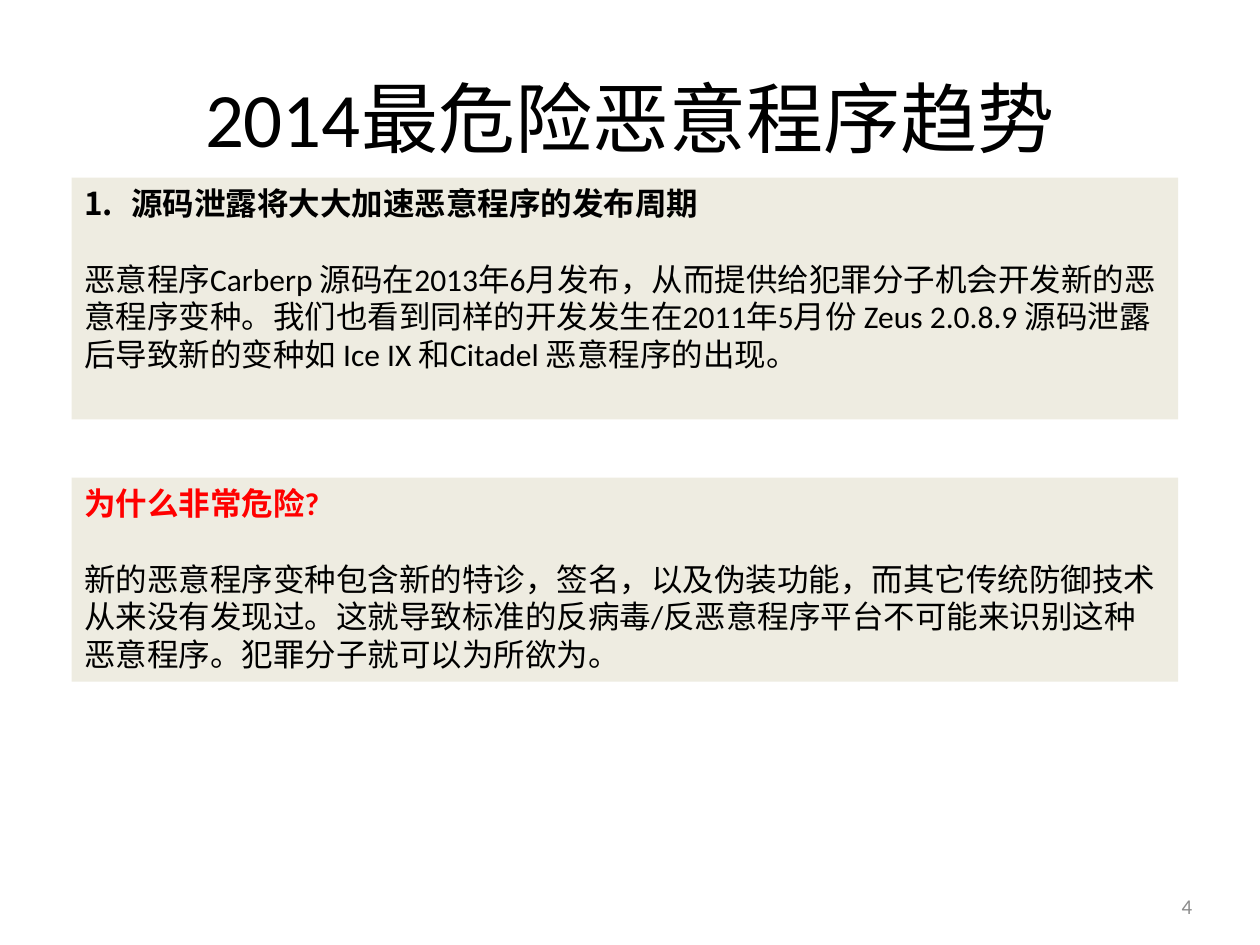
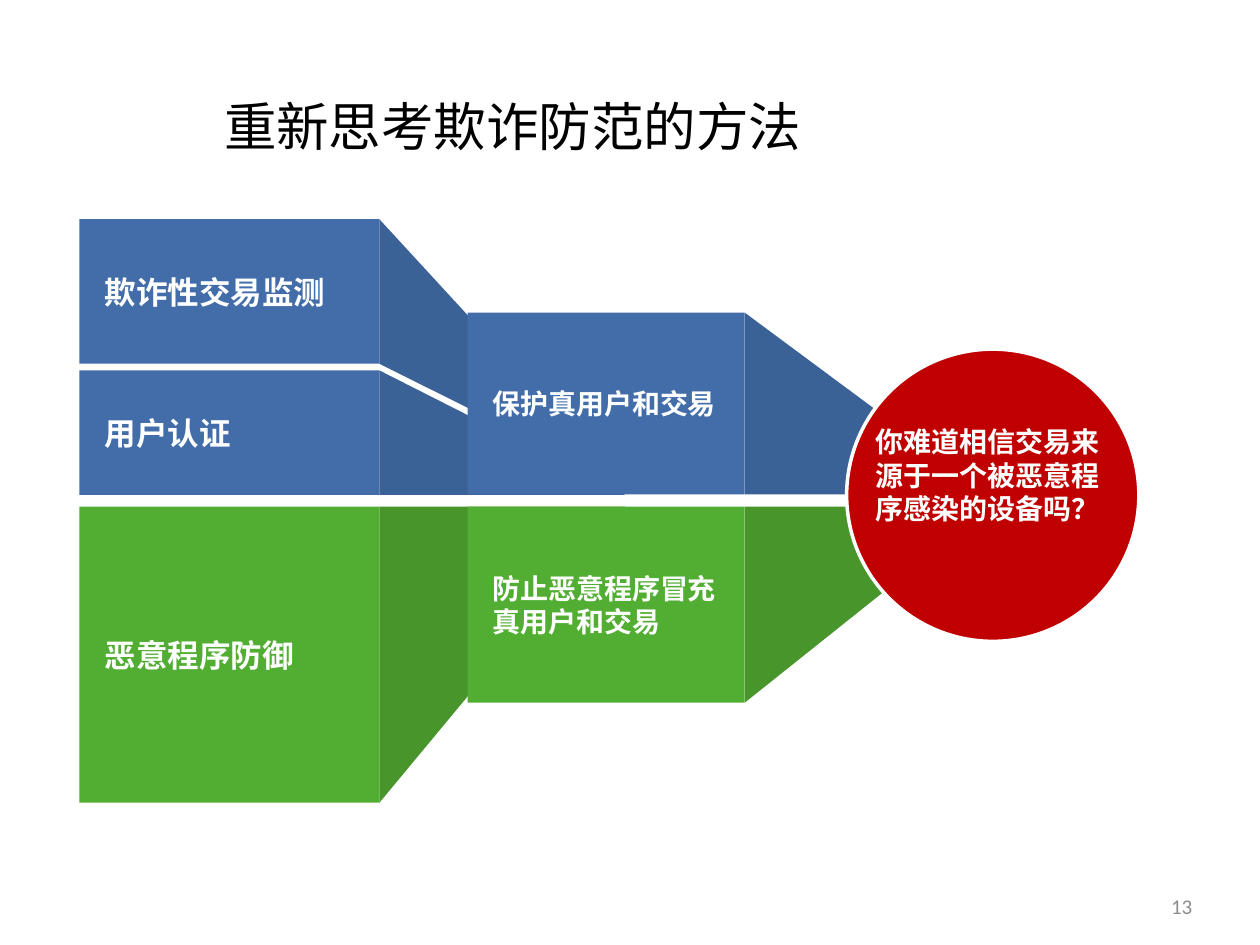
from collections import namedtuple

from lxml.etree import SubElement
from pptx import Presentation
from pptx.dml.color import RGBColor
from pptx.enum.shapes import MSO_SHAPE
from pptx.enum.text import MSO_ANCHOR, PP_ALIGN
from pptx.oxml.ns import qn
from pptx.util import Pt

Box = namedtuple("Box", "left top width height")
Block = namedtuple("Block", "text left top width height tip size face side")

BLACK, WHITE, GREY, RED = "000000", "FFFFFF", "8C8C8C", "FF0000"
PANEL, CIRCLE = "EEECE1", "C00000"
BLUE, DARK_BLUE = "426DA9", "3B6297"
GREEN, DARK_GREEN = "52AE32", "47952B"
BLANK_LAYOUT = 6
NUMBER_BOX = Box(646.6, 507.6, 41.8, 20.9)
TIP_REACH = 140.4


def color(value):
    """Turn a hex string into a colour."""
    return RGBColor.from_string(value)


def points(box):
    """Convert a box to lengths in points."""
    return [Pt(length) for length in box]


def paint(shape, fill, line=None):
    """Give a shape a flat fill, an optional outline and no shadow."""
    shape.shadow.inherit = False
    shape.fill.solid()
    shape.fill.fore_color.rgb = color(fill)
    if line:
        shape.line.color.rgb = color(line)
        shape.line.width = Pt(2)
    else:
        shape.line.fill.background()
    return shape


def add_preset(page, kind, box, fill, line=None):
    """Add a painted preset shape."""
    return paint(page.shapes.add_shape(kind, *points(box)), fill, line)


def add_triangle(page, corners, fill):
    """Add a triangle through three corners given in points."""
    start, *rest = [tuple(points(corner)) for corner in corners]
    builder = page.shapes.build_freeform(*start)
    builder.add_line_segments(rest, close=True)
    return paint(builder.convert_to_shape(), fill)


def write(shape, text, font="Calibri", size=18, ink=BLACK, bold=False,
          align=PP_ALIGN.LEFT, anchor=MSO_ANCHOR.TOP, before=0,
          numbered=False, inset=7.2):
    """Write one formatted paragraph, after any text already in the shape."""
    frame = shape.text_frame
    frame.word_wrap = True
    frame.vertical_anchor = anchor
    frame.margin_left = Pt(inset)
    para = frame.add_paragraph() if frame.text else frame.paragraphs[0]
    para.alignment = align
    if before:
        para.space_before = Pt(before)
    if numbered:
        properties = para._p.get_or_add_pPr()
        properties.set("marL", str(Pt(27)))
        properties.set("indent", str(-Pt(27)))
        SubElement(properties, qn("a:buFont"), typeface="+mj-lt")
        SubElement(properties, qn("a:buAutoNum"), type="arabicPeriod")
    span = para.add_run()
    span.text = text
    span.font.name, span.font.size, span.font.bold = font, Pt(size), bold
    span.font.color.rgb = color(ink)


def add_page(deck, title, title_box, title_size, number):
    """Add a blank page with its title and page number."""
    page = deck.slides.add_slide(deck.slide_layouts[BLANK_LAYOUT])
    write(page.shapes.add_textbox(*points(title_box)), title, size=title_size,
          align=PP_ALIGN.CENTER, anchor=MSO_ANCHOR.MIDDLE)
    write(page.shapes.add_textbox(*points(NUMBER_BOX)), number, size=12, ink=GREY,
          align=PP_ALIGN.RIGHT, anchor=MSO_ANCHOR.MIDDLE)
    return page


def add_panel(page, box, heading, body, **heading_format):
    """Add a beige panel with a bold heading over body text."""
    panel = add_preset(page, MSO_SHAPE.RECTANGLE, box, PANEL)
    write(panel, heading, bold=True, **heading_format)
    write(panel, body, before=21.7)


def add_funnel(page, box):
    """Draw the blocks that narrow towards the question circle."""
    first, second = 171.4, 158.4
    middle = 221.8
    upper, lower = 157.5, 164.2
    blocks = [
        Block("欺诈性交易监测", 0, 0, first, 82.6, 152.6, 18, BLUE, DARK_BLUE),
        Block("用户认证", 0, 86.4, first, 71.1, upper, 18, BLUE, DARK_BLUE),
        Block("恶意程序防御", 0, lower, first, 169.2, lower, 18, GREEN, DARK_GREEN),
        Block("保护真用户和交易", middle, 53.4, second, 103.8, upper, 16, BLUE, DARK_BLUE),
        Block("防止恶意程序冒充真用户和交易", middle, lower, second, 112, lower, 16,
              GREEN, DARK_GREEN),
    ]
    for block in blocks:
        right = box.left + block.left + block.width
        top = box.top + block.top
        corners = [(right, top), (right, top + block.height),
                   (right + TIP_REACH, box.top + block.tip)]
        add_triangle(page, corners, block.side)
    for block in blocks:
        place = Box(box.left + block.left, box.top + block.top, block.width, block.height)
        face = add_preset(page, MSO_SHAPE.RECTANGLE, place, block.face)
        write(face, block.text, font="Arial", size=block.size, ink=WHITE, bold=True,
              anchor=MSO_ANCHOR.MIDDLE, inset=14.4)
    diameter = 167
    circle = Box(box.left + box.width - diameter, box.top + 74.2, diameter, diameter)
    add_preset(page, MSO_SHAPE.OVAL, circle, CIRCLE, line=WHITE)
    question = Box(circle.left + 7.2, circle.top + 39.6, 146.9, 64)
    write(page.shapes.add_textbox(*points(question)),
          "你难道相信交易来源于一个被恶意程序感染的设备吗？",
          font="Arial", size=16, ink=WHITE, bold=True, align=PP_ALIGN.CENTER)


def build_trend_page(deck):
    """Build the page on the most dangerous malware trends."""
    page = add_page(deck, "2014最危险恶意程序趋势", Box(36, 21.6, 648, 90), 44, "4")
    add_panel(page, Box(41, 101.5, 632.2, 138.2),
              "源码泄露将大大加速恶意程序的发布周期",
              "恶意程序Carberp 源码在2013年6月发布，从而提供给犯罪分子机会开发新的恶意程序变种。"
              "我们也看到同样的开发发生在2011年5月份 Zeus 2.0.8.9 源码泄露后导致新的变种如 "
              "Ice IX 和Citadel 恶意程序的出现。", numbered=True)
    add_panel(page, Box(41, 272.9, 632.2, 116.6), "为什么非常危险?",
              "新的恶意程序变种包含新的特诊，签名，以及伪装功能，而其它传统防御技术从来没有发现过。"
              "这就导致标准的反病毒/反恶意程序平台不可能来识别这种恶意程序。"
              "犯罪分子就可以为所欲为。", ink=RED)


def build_method_page(deck):
    """Build the page on rethinking fraud prevention."""
    page = add_page(deck, "重新思考欺诈防范的方法", Box(15.1, 46.8, 555.8, 50.4), 30, "13")
    add_funnel(page, Box(45.4, 125.3, 605.4, 333.4))


def main():
    """Build and save the deck."""
    deck = Presentation()
    deck.slide_width, deck.slide_height = Pt(720), Pt(540)
    build_trend_page(deck)
    build_method_page(deck)
    deck.save("out.pptx")


if __name__ == "__main__":
    main()
